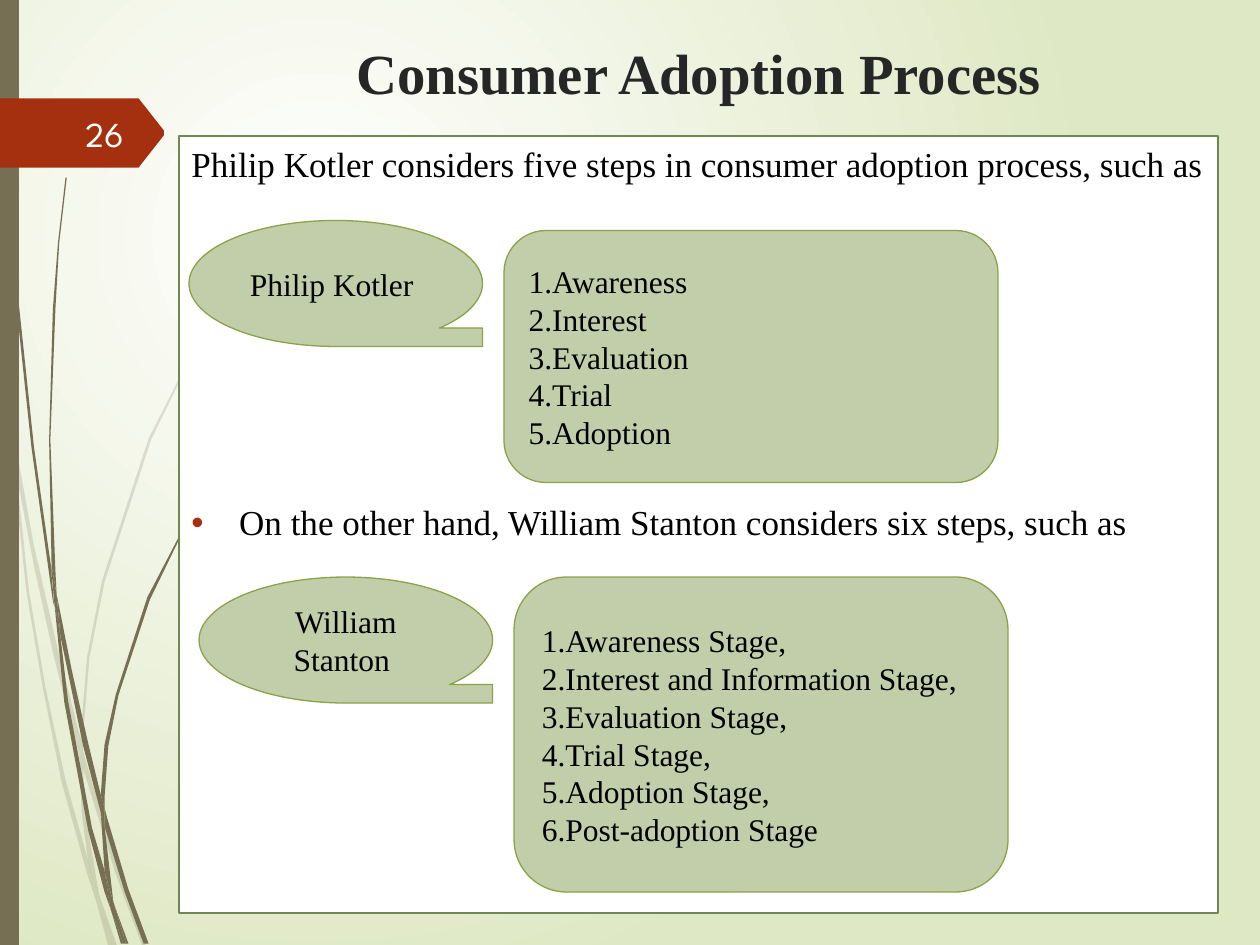
from pptx import Presentation
from pptx import util as u
from pptx.dml import color
from pptx.enum import shapes, text
from pptx.oxml import ns
from lxml import etree

SERIF = "Times New Roman"
BROWN, RUST, GREEN, OLIVE = "766F54", "A53010", "C2CEA9", "8BA249"
BODY = {"size": 20, "name": SERIF, "color": "000000"}
CALLOUT = {**BODY, "size": 18}
KINDS = shapes.MSO_SHAPE
ALIGN, ANCHOR = text.PP_ALIGN, text.MSO_ANCHOR

FADED_BLADES = [
    [(.08, 3.5), (.06, 3.22), (0, 2.82), (0, 2.99), (.08, 3.44)],
    [(.43, 5.22), (.63, 5.99), (.64, 5.86), (.47, 5.2), (.27, 4.33), (.11, 3.45),
     (.13, 3.76), (.27, 4.49)],
    [(.69, 6.07), (.66, 5.96), (.66, 6.1), (.92, 6.94), (1.13, 7.51), (1.16, 7.51),
     (.95, 6.92)],
    [(.89, 7.51), (.93, 7.51), (.79, 7.11)],
    [(.7, 6.83), (.52, 6.19), (.36, 5.45), (.23, 4.69), (.13, 3.76), (.08, 3.5),
     (.21, 4.7), (.34, 5.46), (.49, 6.21), (.69, 6.93), (.76, 7.14), (.74, 7.07)],
    [(.63, 5.99), (.65, 6.46), (.7, 6.83), (.72, 6.92), (.79, 7.11), (.78, 7.06),
     (.68, 6.46), (.66, 6.1), (.66, 6.08)],
    [(.66, 5.84), (.71, 5.22), (.83, 4.62), (1.2, 3.49), (1.71, 2.45), (2.01, 1.98),
     (2.17, 1.75), (2.34, 1.54), (2.34, 1.53), (2.17, 1.75), (2.01, 1.97), (1.71, 2.44),
     (1.18, 3.48), (.81, 4.61), (.69, 5.22), (.64, 5.84), (.64, 5.86), (.66, 5.96)],
    [(.76, 7.14), (.86, 7.51), (.89, 7.51)],
    [(.66, 6.08), (.66, 6.1), (.66, 5.96), (.64, 5.86), (.63, 5.99)],
    [(.72, 6.92), (.7, 6.83), (.74, 7.07), (.76, 7.14), (.89, 7.51), (.79, 7.11)],
]
DARK_BLADES = [
    [(.05, 1.1), (.12, 2.33), (.25, 3.55), (.42, 4.77), (.43, 4.81), (.41, 4.57),
     (.41, 4.53), (.27, 3.55), (.14, 2.32), (.06, 1.09), (.03, .48), (.03, 0), (.02, 0),
     (.03, .48)],
    [(.66, 5.92), (.8, 6.45), (.8, 6.33), (.8, 6.31), (.7, 5.9), (.57, 5.32), (.45, 4.72),
     (.48, 5.05)],
    [(.85, 6.49), (.83, 6.41), (.83, 6.56), (.99, 7.08), (1.14, 7.49), (1.18, 7.49),
     (1.02, 7.06)],
    [(.83, 6.91), (.73, 6.57), (.54, 5.56), (.48, 5.05), (.43, 4.77), (.51, 5.57),
     (.7, 6.59), (.83, 7.08), (.88, 7.22), (.87, 7.17)],
    [(.45, 4.72), (.44, 4.53), (.4, 3.49), (.44, 2.45), (.47, 1.93), (.53, 1.41),
     (.52, 1.41), (.46, 1.93), (.42, 2.45), (.39, 3.49), (.41, 4.49)],
    [(1, 7.49), (1.02, 7.49), (.91, 7.19)],
    [(.43, 4.77), (.48, 5.05), (.45, 4.72), (.41, 4.49), (.41, 4.53)],
    [(.83, 6.33), (.86, 5.92), (.94, 5.52), (1.19, 4.76), (1.53, 4.06), (1.73, 3.74),
     (1.84, 3.59), (1.96, 3.44), (1.95, 3.44), (1.84, 3.58), (1.73, 3.73), (1.53, 4.05),
     (1.17, 4.74), (.92, 5.51), (.83, 5.91), (.8, 6.31), (.83, 6.41)],
    [(.88, 7.22), (.96, 7.49), (.98, 7.49)],
    [(.8, 6.45), (.83, 6.91), (.87, 7.06), (.91, 7.19), (.9, 7.16), (.83, 6.56), (.81, 6.51)],
    [(.8, 6.45), (.81, 6.51), (.83, 6.56), (.83, 6.41), (.8, 6.31), (.8, 6.33)],
    [(.87, 7.06), (.83, 6.91), (.87, 7.17), (.88, 7.22), (.98, 7.49), (1, 7.49), (.91, 7.19)],
]


def rgb(value):
    return color.RGBColor.from_string(value)


def paint(shape, fill, line=None, width=0.75):
    shape.shadow.inherit = False
    shape.fill.solid()
    shape.fill.fore_color.rgb = rgb(fill)
    if line:
        shape.line.color.rgb = rgb(line)
        shape.line.width = u.Pt(width)
    else:
        shape.line.fill.background()


def add_box(slide, kind, box, *colors):
    shape = slide.shapes.add_shape(kind, *map(u.Inches, box))
    paint(shape, *colors)
    return shape


def add_outline(slide, points, fill):
    scaled = [(u.Inches(x), u.Inches(y)) for x, y in points]
    builder = slide.shapes.build_freeform(*scaled[0])
    builder.add_line_segments(scaled[1:], close=True)
    shape = builder.convert_to_shape()
    paint(shape, fill)
    return shape


def write(shape, lines, style, align=ALIGN.LEFT, anchor=ANCHOR.MIDDLE):
    frame = shape.text_frame
    frame.word_wrap = True
    frame.vertical_anchor = anchor
    for index, line in enumerate(lines):
        paragraph = frame.add_paragraph() if index else frame.paragraphs[0]
        paragraph.alignment = align
        run = paragraph.add_run()
        run.text = line
        for key, value in style.items():
            if key == "color":
                run.font.color.rgb = rgb(value)
            else:
                setattr(run.font, key, u.Pt(value) if key == "size" else value)
    return frame.paragraphs


def add_text(slide, box, line, style, align, anchor):
    shape = slide.shapes.add_textbox(*map(u.Inches, box))
    write(shape, [line], style, align, anchor)


def add_tag(parent, name, **attributes):
    return etree.SubElement(parent, ns.qn(name), attributes)


def set_background(slide):
    fill = slide.background.fill
    fill.gradient()
    for stop, (position, value) in zip(fill.gradient_stops, [(0, "FFFFFF"), (1, "DFE8C4")]):
        stop.position = position
        stop.color.rgb = rgb(value)
    linear = next(slide.element.iter(ns.qn("a:lin")))
    gradient = linear.getparent()
    gradient.remove(linear)
    circle = add_tag(gradient, "a:path", path="circle")
    add_tag(circle, "a:fillToRect", l="50000", t="50000", r="100000", b="100000")


def add_blades(slide, blades, opacity):
    for points in blades:
        shape = add_outline(slide, points, BROWN)
        if opacity < 100:
            tint = next(shape.element.iter(ns.qn("a:srgbClr")))
            add_tag(tint, "a:alpha", val=str(opacity * 1000))


def add_page_tag(slide, left, top, width, height, number):
    shoulder = left + width - 0.2
    middle = top + height / 2
    add_outline(slide, [(left, top), (shoulder, top), (left + width, middle - 0.02),
                        (left + width, middle + 0.02), (shoulder, top + height),
                        (left, top + height)], RUST)
    add_text(slide, (left + 0.44, top + 0.08, 0.64, 0.4), number,
             {"size": 20, "name": "League Spartan", "color": "FEFFFF"},
             ALIGN.RIGHT, ANCHOR.MIDDLE)


def add_body(slide, box, lines):
    panel = add_box(slide, KINDS.RECTANGLE, box, "FFFFFF", "728653", 1.25)
    paragraphs = write(panel, lines, BODY, anchor=ANCHOR.TOP)
    for paragraph in paragraphs:
        properties = paragraph._p.get_or_add_pPr()
        properties.set("marL", str(u.Inches(0.38)))
        properties.set("indent", str(u.Inches(-0.38)))
    paragraphs[1].space_before = u.Pt(181)
    bullet_color = add_tag(properties, "a:buClr")
    add_tag(bullet_color, "a:srgbClr", val=RUST)
    add_tag(properties, "a:buFont", typeface="Arial")
    add_tag(properties, "a:buChar", char="•")


def add_author_steps(slide, left, top, height, tape_drop, author, steps):
    card = add_box(slide, KINDS.ROUNDED_RECTANGLE, (left + 2.5, top, 3.92, height), GREEN, OLIVE)
    for paragraph in write(card, steps, CALLOUT):
        add_tag(paragraph._p.get_or_add_pPr(), "a:buAutoNum", type="arabicPeriod")
    tape = add_box(slide, KINDS.FLOWCHART_SEQUENTIAL_ACCESS_STORAGE,
                   (left, top + tape_drop, 2.33, 1), GREEN, OLIVE)
    write(tape, [author], CALLOUT, ALIGN.CENTER)


presentation = Presentation()
presentation.slide_width = u.Inches(10)
presentation.slide_height = u.Inches(7.5)
slide = presentation.slides.add_slide(presentation.slide_layouts[6])
set_background(slide)
add_blades(slide, FADED_BLADES, 20)
add_blades(slide, DARK_BLADES, 100)
add_box(slide, KINDS.RECTANGLE, (0, 0, 0.15, 7.5), BROWN)
add_text(slide, (1.42, 0.24, 8.25, 0.65), "Consumer Adoption Process",
         {"size": 32.4, "name": SERIF, "color": "262626", "bold": True},
         ALIGN.CENTER, ANCHOR.BOTTOM)
add_body(slide, (1.42, 1.08, 8.25, 6.17), [
    "Philip Kotler considers five steps in consumer adoption process, such as",
    "On the other hand, William Stanton considers six steps, such as"])
add_author_steps(slide, 1.5, 1.83, 2, -0.08, "Philip Kotler ", [
    "Awareness ", "Interest ", "Evaluation ", "Trial ", "Adoption"])
add_author_steps(slide, 1.58, 4.58, 2.5, 0, "William Stanton ", [
    "Awareness Stage,", "Interest and Information Stage, ", "Evaluation Stage,",
    "Trial Stage, ", "Adoption Stage, ", "Post-adoption Stage"])
add_page_tag(slide, 0, 0.78, 1.3, 0.55, "26")
presentation.save("out.pptx")
